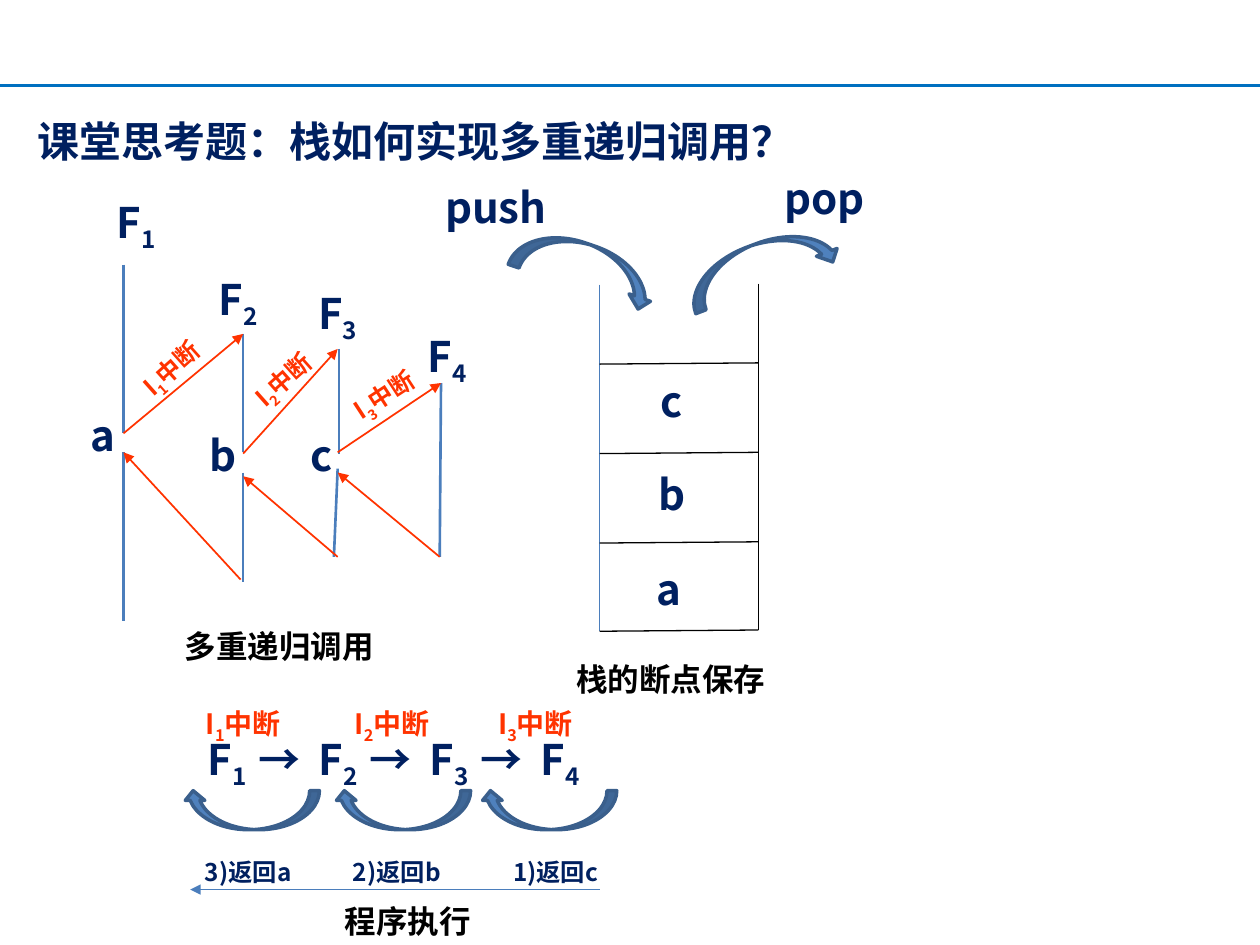
from lxml import etree
from pptx import Presentation
from pptx.dml.color import RGBColor
from pptx.enum.shapes import MSO_CONNECTOR as CONNECTOR, MSO_SHAPE as SHAPE
from pptx.enum.text import PP_ALIGN as ALIGN
from pptx.oxml.ns import qn
from pptx.util import Inches, Pt

FONT = "Noto Sans CJK SC"
NAVY = RGBColor(0x00, 0x20, 0x60)
BLACK = RGBColor(0x00, 0x00, 0x00)
RED = RGBColor(0xFF, 0x33, 0x00)
RULE_BLUE = RGBColor(0x00, 0x70, 0xC0)
LINE_BLUE = RGBColor(0x4B, 0x7E, 0xBC)
ARROW_FILL = RGBColor(0x4F, 0x81, 0xBD)
ARROW_EDGE = RGBColor(0x3A, 0x5F, 0x8C)


def add_text(s, text, x, y, w, h, size=24, color=NAVY, align=ALIGN.CENTER,
             rotation=0, inset=0.1, tabs=()):
    """Add a bold text box; text is a string or a list of (string, is_subscript)."""
    sp = s.shapes.add_textbox(Inches(x), Inches(y), Inches(w), Inches(h))
    sp.rotation = rotation
    tf = sp.text_frame
    tf.word_wrap = True
    tf.margin_left = Inches(inset)
    p = tf.paragraphs[0]
    p.alignment = align
    if tabs:
        tab_list = etree.SubElement(p._p.get_or_add_pPr(), qn("a:tabLst"))
        for pos in tabs:
            etree.SubElement(tab_list, qn("a:tab"), pos=str(Inches(pos)), algn="l")
    for part, is_sub in [(text, False)] if isinstance(text, str) else text:
        r = p.add_run()
        r.text = part
        r.font.size = Pt(size)
        r.font.bold = True
        r.font.name = FONT
        r.font.color.rgb = color
        etree.SubElement(r._r.get_or_add_rPr(), qn("a:ea"), typeface=FONT)
        if is_sub:
            r._r.get_or_add_rPr().set("baseline", "-25000")
    return sp


def add_line(s, x1, y1, x2, y2, color=LINE_BLUE, width=1.5, arrow=False):
    line = s.shapes.add_connector(CONNECTOR.STRAIGHT, Inches(x1), Inches(y1),
                                  Inches(x2), Inches(y2))
    line.line.color.rgb = color
    line.line.width = Pt(width)
    if arrow:
        etree.SubElement(line.line._get_or_add_ln(), qn("a:tailEnd"), type="triangle")
    etree.SubElement(line._element.spPr, qn("a:effectLst"))


def add_curved_arrow(s, kind, x, y, w, h, rotation):
    sp = s.shapes.add_shape(kind, Inches(x), Inches(y), Inches(w), Inches(h))
    sp.rotation = rotation
    sp.shadow.inherit = False
    sp.fill.solid()
    sp.fill.fore_color.rgb = ARROW_FILL
    sp.line.color.rgb = ARROW_EDGE
    sp.line.width = Pt(2)


def interrupt_label(n):
    return [("I", False), (str(n), True), ("中断", False)]


def add_call_diagram(s):
    # Execution of each function, before and after its break point
    for ends in [(0.98, 2.1, 0.98, 3.44), (0.98, 3.59, 0.98, 4.93),
                 (1.93, 2.65, 1.93, 3.59), (1.93, 3.75, 1.93, 4.62),
                 (2.69, 2.77, 2.69, 3.6), (2.68, 3.72, 2.65, 4.42),
                 (3.5, 3.04, 3.49, 4.42)]:
        add_line(s, *ends)

    # Calls, then returns
    for ends in [(0.98, 3.44, 1.93, 2.65), (1.93, 3.6, 2.68, 2.77),
                 (2.68, 3.59, 3.5, 3.04), (1.91, 4.6, 0.98, 3.59),
                 (2.68, 4.42, 1.93, 3.78), (3.49, 4.42, 2.68, 3.75)]:
        add_line(s, *ends, color=RED, width=1, arrow=True)

    # Break points, function names and interrupts
    for name, x, y in [("a", 0.51, 3.2), ("b", 1.46, 3.36), ("c", 2.24, 3.36)]:
        add_text(s, name, x, y, 0.62, 0.43)
    functions = [(0.65, 1.51), (1.46, 2.12), (2.25, 2.23), (3.12, 2.57)]
    for n, (x, y) in enumerate(functions, 1):
        add_text(s, [("F", False), (str(n), True)], x, y, 0.86, 0.42)
    interrupts = [(0.83, 2.73, 318.3), (1.72, 2.82, 318.3), (2.51, 2.95, 326.9)]
    for n, (x, y, angle) in enumerate(interrupts, 1):
        add_text(s, interrupt_label(n), x, y, 1.18, 0.52, size=14, color=RED,
                 rotation=angle)
    add_text(s, "多重递归调用", 0.84, 4.93, 2.75, 0.73, size=18, color=BLACK)


def add_stack(s):
    # Walls and cell borders
    add_line(s, 4.76, 2.26, 4.76, 5.01, width=0.75)
    add_line(s, 6.02, 2.25, 6.02, 5, color=BLACK, width=0.75)
    for y in (2.89, 3.6, 4.31, 5.01):
        add_line(s, 4.76, y, 6.02, y - 0.01, color=BLACK, width=0.75)
    for name, x, y in [("c", 5.02, 2.93), ("b", 5.02, 3.67), ("a", 5, 4.42)]:
        add_text(s, name, x, y, 0.62, 0.43)

    # Push and pop
    add_curved_arrow(s, SHAPE.CURVED_DOWN_ARROW, 4.06, 1.94, 1.18, 0.36, 19)
    add_curved_arrow(s, SHAPE.CURVED_DOWN_ARROW, 5.42, 1.93, 1.25, 0.35, 339.3)
    add_text(s, "push", 3.43, 1.39, 1.01, 0.45)
    add_text(s, "pop", 6.04, 1.32, 1.01, 0.45)
    add_text(s, "栈的断点保存", 3.95, 5.19, 2.75, 0.73, size=18, color=BLACK)


def add_execution_order(s):
    # Chain of calls, spaced with tab stops
    step = 0.88
    chain = [("F", False), ("1", True)]
    tabs = []
    for n in (2, 3, 4):
        chain += [("\t→\tF", False), (str(n), True)]
        tabs += [(n - 2) * step + 0.4, (n - 1) * step]
    add_text(s, chain, 0.51, 5.77, 5.28, 0.55, align=ALIGN.LEFT, inset=1.14, tabs=tabs)

    # Interrupts above, returns below
    columns = [(1.34, 1.84, 1.38, "3)返回a"), (2.52, 3.04, 2.56, "2)返回b"),
               (3.66, 4.2, 3.82, "1)返回c")]
    for n, (label_x, arrow_x, return_x, text) in enumerate(columns, 1):
        add_text(s, interrupt_label(n), label_x, 5.56, 1.18, 0.52, size=16, color=RED)
        add_curved_arrow(s, SHAPE.CURVED_LEFT_ARROW, arrow_x, 5.89, 0.31, 1.08, 90)
        add_text(s, [(text, True)], return_x, 6.53, 1.18, 0.52)
    add_line(s, 4.76, 7.06, 1.51, 7.06, width=0.75, arrow=True)
    add_text(s, "程序执行", 1.86, 7.11, 2.75, 0.73, size=18, color=BLACK)


def main():
    prs = Presentation()
    prs.slide_width, prs.slide_height = Inches(10), Inches(7.5)
    s = prs.slides.add_slide(prs.slide_layouts[6])

    # Header rule and title
    add_line(s, 0, 0.68, 10, 0.68, color=RULE_BLUE)
    add_text(s, "课堂思考题：栈如何实现多重递归调用？", 0.2, 0.87, 7.32, 0.73,
             align=ALIGN.LEFT)

    add_call_diagram(s)
    add_stack(s)
    add_execution_order(s)
    prs.save("out.pptx")


if __name__ == "__main__":
    main()
